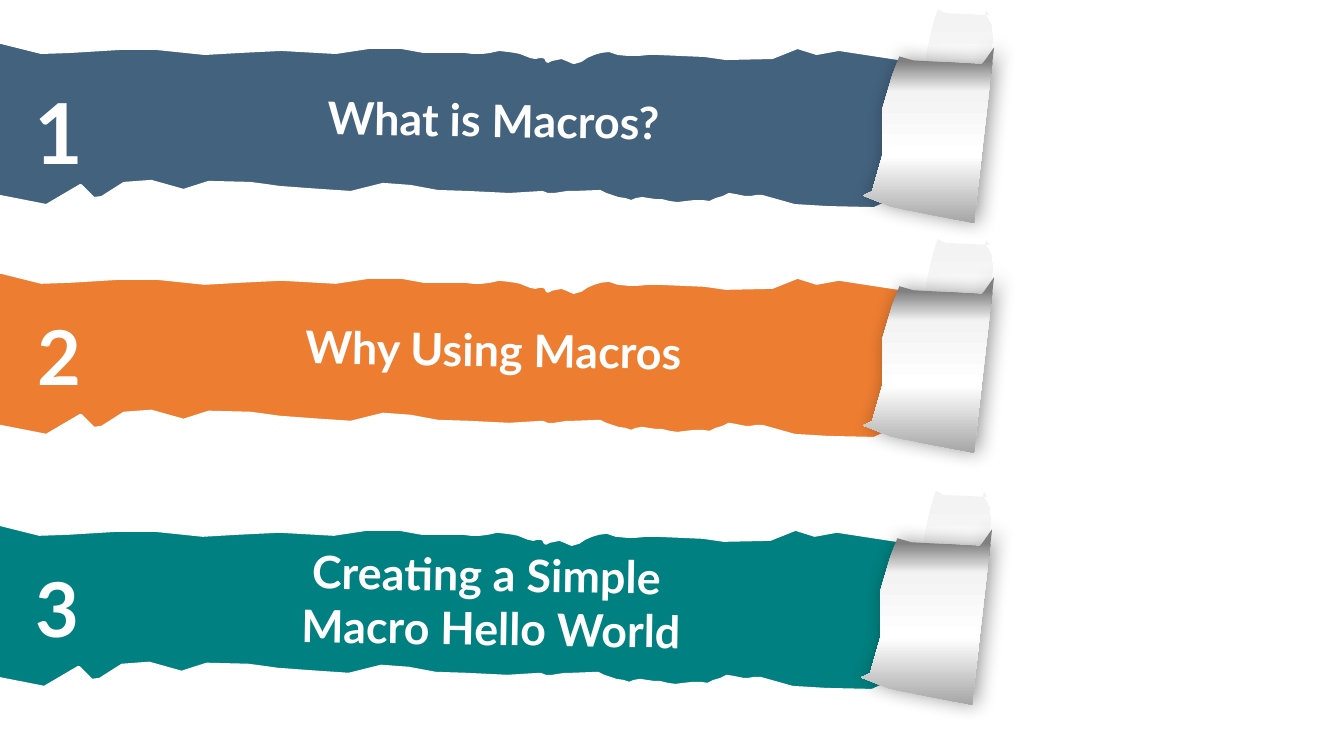
from pptx import Presentation
from pptx import util as u
from pptx.dml.color import RGBColor
from pptx.enum import text
from pptx.oxml import parse_xml
from pptx.oxml.ns import nsdecls

PX = 9144

BAND = [
    (-5, 194), (46, 204), (80, 184), (93, 197), (101, 196), (123, 182),
    (150, 180), (182, 189), (207, 181), (248, 182),
    (273, 187, 295, 187, 318, 189), (348, 191), (380, 183), (407, 185),
    (434, 190), (464, 191), (505, 193), (538, 191),
    (546, 196, 559, 191, 570, 191), (595, 190),
    (604, 197, 616, 196, 626, 200), (634, 194, 646, 199, 656, 199),
    (668, 205, 683, 200, 697, 200), (708, 204, 720, 190, 729, 194),
    (736, 197, 747, 195, 756, 195), (788, 204), (821, 206), (867, 207),
    (878, 202), (884, 189), (895, 133), (894, 98), (901, 66), (904, 60),
    (832, 49), (810, 53), (791, 47), (766, 57), (720, 58), (699, 55),
    (653, 53), (637, 52, 619, 57, 604, 50), (591, 50, 580, 59, 569, 62),
    (557, 54, 550, 58, 543, 61), (540, 51, 534, 59, 526, 56),
    (517, 52, 513, 51, 495, 49), (480, 55, 467, 50, 452, 51), (420, 51),
    (398, 47), (366, 47), (333, 52), (279, 49), (238, 51), (203, 53),
    (155, 48), (119, 48), (70, 51), (41, 52), (1, 42), (-18, 43),
    (-10, 84), (-17, 162),
]
FLAP = [
    (906, 122), (923, 131), (948, 137), (974, 144),
    (978, 108, 984, 59, 985, 37), (985, 14, 974, 19, 978, 10),
    (981, 15), (961, 14), (938, 13), (930, 9), (925, 25), (919, 53),
    (918, 90), (912, 119),
]
CURL = [
    (856, 194), (884, 205), (923, 213), (966, 221), (981, 90), (986, 47),
    (974, 64), (943, 62), (906, 60), (892, 56), (885, 75), (875, 109),
    (875, 155), (865, 190),
]
FLAP_STOPS = [(8, "F3F3F3"), (62, "FFFFFF"), (100, "A6A6A6")]
CURL_STOPS = [(8, "808080"), (25, "F3F3F3"), (62, "FFFFFF"), (100, "A6A6A6")]


def rgb(value):
    return RGBColor.from_string(value)


def flatten(outline, steps=5):
    points = [outline[0]]
    for seg in outline[1:]:
        if len(seg) == 2:
            points.append(seg)
            continue
        x0, y0 = points[-1]
        x1, y1, x2, y2, x3, y3 = seg
        for i in range(1, steps + 1):
            t = i / steps
            a, b, c, d = (1 - t) ** 3, 3 * t * (1 - t) ** 2, 3 * t * t * (1 - t), t ** 3
            points.append((a * x0 + b * x1 + c * x2 + d * x3,
                           a * y0 + b * y1 + c * y2 + d * y3))
    return points


class Deck:
    font = "Lato"
    ink = "FFFFFF"

    def __init__(self, width, height):
        self.prs = Presentation()
        self.prs.slide_width = width * PX
        self.prs.slide_height = height * PX
        self.s = self.prs.slides.add_slide(self.prs.slide_layouts[6])

    def outline(self, points, dx, dy):
        first, *rest = [(x + dx, y + dy) for x, y in flatten(points)]
        builder = self.s.shapes.build_freeform(*first, scale=float(PX))
        builder.add_line_segments(rest, close=True)
        sp = builder.convert_to_shape()
        sp.shadow.inherit = False
        return sp

    def band(self, dx, dy, color):
        sp = self.outline(BAND, dx, dy)
        sp.fill.solid()
        sp.fill.fore_color.rgb = rgb(color)
        sp.line.color.rgb = rgb("FFFFFF")
        sp.line.width = u.Pt(2.25)

    def paper(self, points, dx, dy, stops, shadow=False):
        sp = self.outline(points, dx, dy)
        sp.line.fill.background()
        sp.fill.background()
        gs = "".join(f'<a:gs pos="{pos * 1000}"><a:srgbClr val="{color}"/></a:gs>'
                     for pos, color in stops)
        grad = parse_xml(f'<a:gradFill {nsdecls("a")}><a:gsLst>{gs}</a:gsLst>'
                         '<a:lin ang="5400000" scaled="0"/></a:gradFill>')
        props = sp._element.spPr
        props.replace(props.find("{*}noFill"), grad)
        if shadow:
            props.find("{*}effectLst").append(parse_xml(
                f'<a:outerShdw {nsdecls("a")} blurRad="{u.Pt(14)}" dist="{u.Pt(3)}" '
                'dir="0" algn="ctr" rotWithShape="0"><a:srgbClr val="000000">'
                '<a:alpha val="40000"/></a:srgbClr></a:outerShdw>'))

    def label(self, wording, box, size, rotation=0):
        sp = self.s.shapes.add_textbox(*(v * PX for v in box))
        sp.rotation = rotation
        tf = sp.text_frame
        tf.word_wrap = True
        tf.auto_size = text.MSO_AUTO_SIZE.SHAPE_TO_FIT_TEXT
        tf.text = wording
        p = tf.paragraphs[0]
        p.alignment = text.PP_ALIGN.CENTER
        for r in p.runs:
            r.font.name = self.font
            r.font.size = u.Pt(size)
            r.font.bold = True
            r.font.color.rgb = rgb(self.ink)


def main():
    deck = Deck(1333, 750)
    topics = [
        (0, 0, "43627E", "What is Macros?", 87, 64, 75, 111, 60),
        (0, 228, "ED7D31", "Why Using Macros", 315, 64, 303, 101, 54),
        (-2, 478, "008080", "Creating a Simple \vMacro Hello World", 538, 118, 553, 101, 54),
    ]
    for number, topic in enumerate(topics, 1):
        dx, dy, color, title, title_y, title_h, number_y, number_h, size = topic
        deck.band(dx, dy, color)
        deck.paper(FLAP, dx, dy, FLAP_STOPS)
        deck.paper(CURL, dx, dy, CURL_STOPS, shadow=True)
        deck.label(str(number), (23 + dx, number_y, 71, number_h), size)
        deck.label(title, (124 + dx, title_y, 731, title_h), 32, rotation=1)
    deck.prs.save("out.pptx")


if __name__ == "__main__":
    main()
